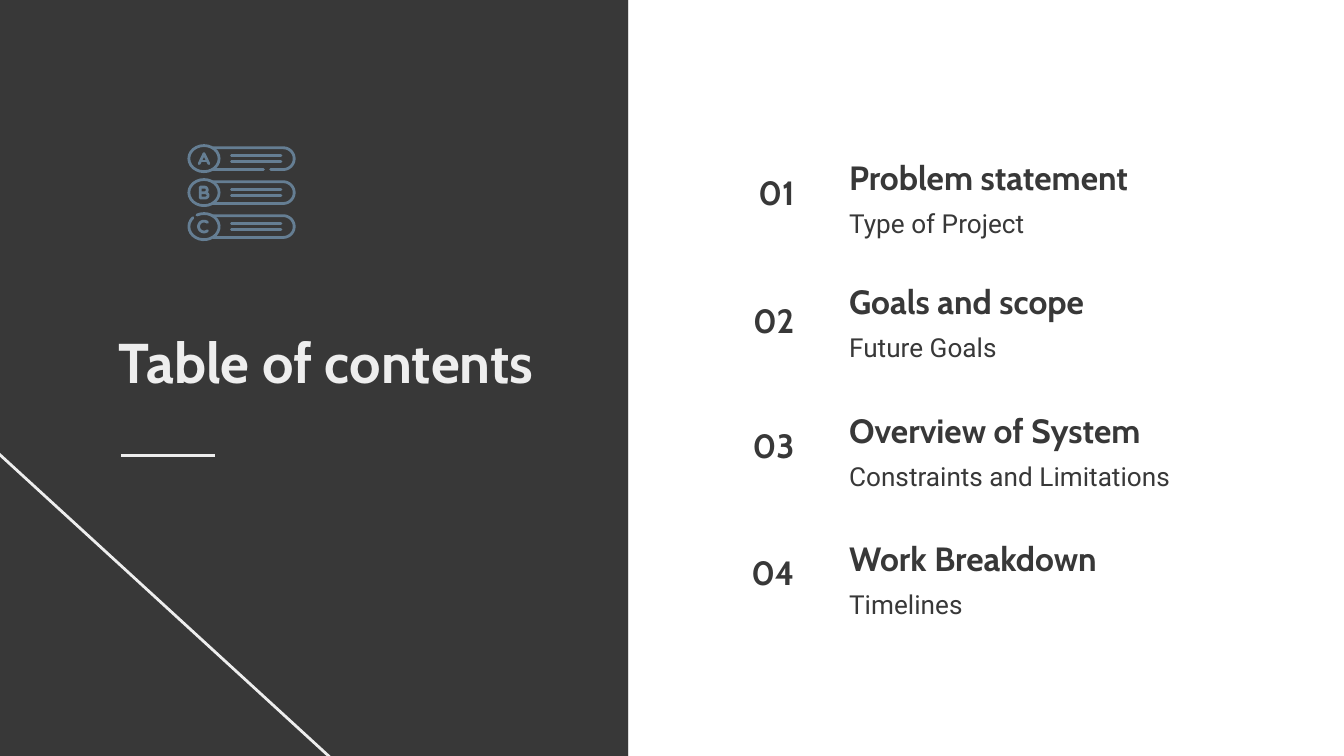
import math
from typing import NamedTuple

from lxml import etree
from pptx import Presentation
from pptx import util as u
from pptx.dml.color import RGBColor
from pptx.enum import shapes, text
from pptx.oxml.ns import qn

COLORS = {"dark": "383838", "light": "EEEEEE", "edge": "DBDBDB", "icon": "657E93"}
Point = tuple[float, float]


class Entry(NamedTuple):
    number: str
    heading: str
    detail: str
    number_top: float
    heading_top: float


class Row(NamedTuple):
    letter: list[list[Point]]
    ring_start: float = 0
    ring_end: float = 360
    gap: tuple[float, float] | None = None


ENTRIES = [
    Entry("01", "Problem statement", "Type of Project", 91.4, 82),
    Entry("02", "Goals and scope", "Future Goals", 159.8, 148.3),
    Entry("03", "Overview of System", "Constraints and Limitations", 226.8, 217.4),
    Entry("04", "Work Breakdown", "Timelines", 295.2, 285.8),
]


def color(name: str) -> RGBColor:
    return RGBColor.from_string(COLORS[name])


def arc(x: float, y: float, rx: float, ry: float, start: float, end: float) -> list[Point]:
    """Points along an ellipse, with clockwise angles in degrees from the right."""
    angles = [math.radians(start + (end - start) * i / 24) for i in range(25)]
    return [(x + rx * math.cos(a), y + ry * math.sin(a)) for a in angles]


def format_text(box, content: str, *, font="Cabin", size=18, ink="dark", bold=True,
                align=text.PP_ALIGN.LEFT, anchor=text.MSO_ANCHOR.MIDDLE) -> None:
    frame = box.text_frame
    frame.word_wrap = True
    frame.auto_size = text.MSO_AUTO_SIZE.NONE
    frame.vertical_anchor = anchor
    frame.margin_left = frame.margin_right = u.Pt(7.2)
    frame.margin_top = frame.margin_bottom = u.Pt(7.2)
    para = frame.paragraphs[0]
    para.alignment = align
    para.line_spacing = 1.0
    para.space_before = u.Pt(0)
    span = para.add_run()
    span.text = content
    span.font.name, span.font.size, span.font.bold = font, u.Pt(size), bold
    span.font.color.rgb = color(ink)


def add_text(page, left: float, top: float, width: float, height: float,
             content: str, **style) -> None:
    box = page.shapes.add_textbox(u.Pt(left), u.Pt(top), u.Pt(width), u.Pt(height))
    format_text(box, content, **style)


def add_line(page, start: Point, end: Point) -> None:
    line = page.shapes.add_connector(
        shapes.MSO_CONNECTOR.STRAIGHT, *(u.Pt(v) for v in start + end))
    line.line.color.rgb = color("light")
    line.line.width = u.Pt(1.5)
    etree.SubElement(line.element.spPr, qn("a:effectLst"))


def add_stroke(group, points: list[Point]) -> None:
    """Draw an unfilled icon stroke with round ends."""
    (x, y), *rest = [(u.Pt(px), u.Pt(py)) for px, py in points]
    builder = group.shapes.build_freeform(x, y)
    builder.add_line_segments(rest, close=False)
    stroke = builder.convert_to_shape()
    stroke.shadow.inherit = False
    stroke.fill.background()
    stroke.line.color.rgb = color("icon")
    stroke.line.width = u.Pt(1.5)
    stroke.line._get_or_add_ln().set("cap", "rnd")


def add_icon(page) -> None:
    """Draw three lettered pills, each with two text bars."""
    letter_a = [[(-2.6, 2.7), (0, -2.7), (2.6, 2.7)], [(-1.8, 1.3), (1.8, 1.3)]]
    letter_b = [[(-2, -2.9), (0, -2.9), *arc(0.4, -1.4, 1.3, 1.5, -90, 90), (-2, 0.1)],
                [(-2, -2.9), (-2, 2.9), *arc(0.6, 1.5, 1.6, 1.4, 90, -90)]]
    letter_c = [arc(0, 0, 2.9, 2.9, 50, 310)]
    rows = [Row(letter_a, gap=(141.2, 145)), Row(letter_b),
            Row(letter_c, ring_start=242, ring_end=583)]
    ring_x, half, pill_start, pill_end = 109.3, 5.8, 114.2, 151.8
    group = page.shapes.add_group_shape()
    for index, row in enumerate(rows):
        y = 85 + 18.2 * index
        add_stroke(group, arc(ring_x, y, 8.1, 7, row.ring_start, row.ring_end))
        outline = [(pill_start, y - half), *arc(pill_end, y, half, half, -90, 90)]
        low = y + half
        if row.gap:
            add_stroke(group, outline + [(row.gap[1], low)])
            add_stroke(group, [(pill_start, low), (row.gap[0], low)])
        else:
            add_stroke(group, outline + [(pill_start, low)])
        for offset in (-1.6, 1.6):
            add_stroke(group, [(124, y + offset), (150.5, y + offset)])
        for part in row.letter:
            add_stroke(group, [(ring_x + dx, y + dy) for dx, dy in part])


def add_panel(page) -> None:
    panel = page.shapes.add_shape(shapes.MSO_SHAPE.RECTANGLE, u.Pt(-13.7), u.Pt(-5),
                                  u.Pt(350.6), u.Pt(415.4))
    panel.shadow.inherit = False
    panel.fill.solid()
    panel.fill.fore_color.rgb = color("dark")
    panel.line.color.rgb = color("edge")
    panel.line.width = u.Pt(0.75)


def add_title(page) -> None:
    title = page.shapes.title
    title.left, title.top, title.width, title.height = (
        u.Pt(v) for v in (56.2, 172.8, 269.3, 41.8))
    format_text(title, "Table of contents", size=30, ink="light")
    title.element.getparent().append(title.element)  # bring in front of the panel


def add_entry(page, entry: Entry) -> None:
    add_text(page, 378.7, entry.number_top, 54, 23, entry.number,
             align=text.PP_ALIGN.RIGHT)
    add_text(page, 447.8, entry.heading_top, 251.3, 26, entry.heading)
    add_text(page, 447.8, entry.heading_top + 22, 193, 18.7, entry.detail,
             font="Roboto", size=14, bold=False, anchor=text.MSO_ANCHOR.TOP)


def main() -> None:
    deck = Presentation()
    deck.slide_width, deck.slide_height = u.Pt(720), u.Pt(405)
    page = deck.slides.add_slide(deck.slide_layouts[5])
    add_panel(page)
    add_line(page, (253.4, 475.9), (-126, 128.2))
    add_title(page)
    for entry in ENTRIES:
        add_entry(page, entry)
    add_line(page, (64.8, 244.2), (115.2, 244.2))
    add_icon(page)
    deck.save("out.pptx")


if __name__ == "__main__":
    main()
